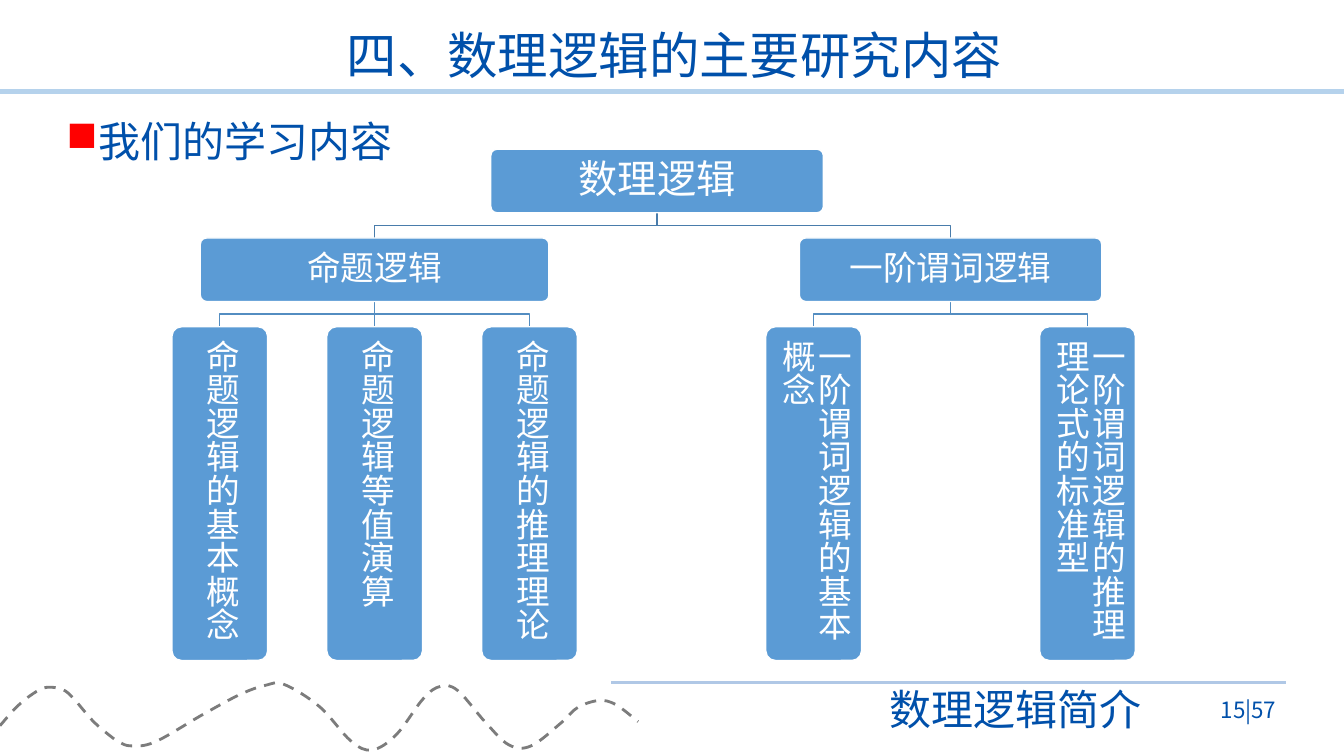
from pptx import Presentation
from pptx.util import Pt
from pptx.dml.color import RGBColor
from pptx.enum.dml import MSO_LINE
from pptx.enum.shapes import MSO_CONNECTOR, MSO_SHAPE
from pptx.enum.text import MSO_ANCHOR as ANCHOR, PP_ALIGN as ALIGN
from pptx.oxml.ns import qn
from lxml.etree import SubElement

NAVY = RGBColor(0x00, 0x50, 0xAA)
PALE_BLUE = RGBColor(0xB5, 0xD2, 0xEC)
FOOT_BLUE = RGBColor(0xB0, 0xC8, 0xE6)
BOX_BLUE = RGBColor(0x5B, 0x9B, 0xD5)
ROOT_LINK = RGBColor(0x49, 0x7C, 0xAB)
LEAF_LINK = RGBColor(0x53, 0x8D, 0xC1)
GRAY = RGBColor(0x7C, 0x7C, 0x7C)
WHITE = RGBColor(0xFF, 0xFF, 0xFF)
SANS = "Noto Sans CJK SC"
SERIF = "Cambria"


def write(s, text, size, font, color, align, anchor=ANCHOR.MIDDLE):
    """Put one formatted run into the shape and return its paragraph."""
    tf = s.text_frame
    tf.word_wrap = True
    tf.vertical_anchor = anchor
    p = tf.paragraphs[0]
    p.alignment = align
    r = p.add_run()
    r.text = text
    r.font.size = Pt(size)
    r.font.name = font
    r.font.color.rgb = color
    SubElement(r.font._element, qn("a:ea")).set("typeface", SANS)
    return p


def draw_path(points, color, width):
    """Draw an open, unfilled outline through the points."""
    corners = [(Pt(x), Pt(y)) for x, y in points]
    builder = slide.shapes.build_freeform(*corners[0])
    builder.add_line_segments(corners[1:], close=False)
    s = builder.convert_to_shape()
    s.shadow.inherit = False
    s.fill.background()
    s.line.color.rgb = color
    s.line.width = Pt(width)
    return s


prs = Presentation()
prs.slide_width, prs.slide_height = Pt(960), Pt(540)
slide = prs.slides.add_slide(prs.slide_layouts[6])

# Rules under the title and above the footer
for x1, x2, y, color, width in [(0, 960, 65.5, PALE_BLUE, 4),
                                (436.5, 918.5, 487.5, FOOT_BLUE, 1.75)]:
    rule = slide.shapes.add_connector(MSO_CONNECTOR.STRAIGHT, Pt(x1), Pt(y), Pt(x2), Pt(y))
    rule.line.color.rgb = color
    rule.line.width = Pt(width)
    SubElement(rule._element.spPr, qn("a:effectLst"))

# Dashed wave: each straight segment between knots becomes a smooth curve
KNOTS = [(0, 518.4), (12.2, 504.7), (23.8, 495.4), (33.1, 491), (44.6, 492.5),
         (52.6, 499), (66.2, 514.8), (77.8, 524.9), (85, 529.9), (93.6, 532.8),
         (110.9, 529.9), (144.7, 510.5), (171.4, 496.1), (189.4, 489.6),
         (203, 488.9), (228.2, 504.7), (250.6, 529.2), (265.7, 535.7),
         (283, 524.9), (302.4, 499), (314.6, 490.3), (326.9, 493.2),
         (347, 516.2), (363.6, 532.1), (379.4, 532.8), (401, 516.2),
         (412.6, 505.4), (427.7, 500.4), (439.9, 503.3), (455.8, 515.5)]
wave = draw_path(KNOTS, GRAY, 2)
wave.line.dash_style = MSO_LINE.DASH
top = min(y for x, y in KNOTS)
padded = [KNOTS[0]] + KNOTS + [KNOTS[-1]]
segments = list(wave._element.iter(qn("a:lnTo")))
for segment, a, b, c, d in zip(segments, padded, padded[1:], padded[2:], padded[3:]):
    segment.tag = qn("a:cubicBezTo")
    segment.remove(segment[0])
    leave = [b[i] + (c[i] - a[i]) / 6 for i in range(2)]
    arrive = [c[i] - (d[i] - b[i]) / 6 for i in range(2)]
    for x, y in (leave, arrive, c):
        pt = SubElement(segment, qn("a:pt"))
        pt.set("x", str(Pt(x)))
        pt.set("y", str(Pt(y - top)))

# Title, topic, footer and page number
title = slide.shapes.add_textbox(Pt(113), Pt(18), Pt(737.3), Pt(46.8))
write(title, "四、数理逻辑的主要研究内容", 36, SERIF, NAVY, ALIGN.CENTER).line_spacing = 0.9

topic = slide.shapes.add_textbox(Pt(40.3), Pt(79.2), Pt(878.4), Pt(43.9))
p = write(topic, "我们的学习内容", 30, SERIF, NAVY, ALIGN.JUSTIFY, ANCHOR.TOP)
p.space_before = Pt(6)
pPr = p._p.get_or_add_pPr()
pPr.set("marL", str(Pt(22.5)))
pPr.set("indent", str(Pt(-22.5)))
SubElement(SubElement(pPr, qn("a:buClr")), qn("a:srgbClr")).set("val", "FF0000")
SubElement(pPr, qn("a:buFont")).set("typeface", "Wingdings")
SubElement(pPr, qn("a:buChar")).set("char", "n")

footer = slide.shapes.add_textbox(Pt(396.7), Pt(484.6), Pt(425.5), Pt(43.9))
p = write(footer, "数理逻辑简介", 30, SERIF, NAVY, ALIGN.RIGHT, ANCHOR.TOP)
p.space_before = Pt(6)

page = slide.shapes.add_textbox(Pt(843.1), Pt(492.5), Pt(75.6), Pt(28.8))
write(page, "15|57", 16, SANS, NAVY, ALIGN.RIGHT)

# Topic tree: each branch spreads its leaves evenly about its own centre
ROOT_X, BOX_H, LEAF_W, LEAF_H = 469.4, 45.4, 68.4, 238.4
ROOT_Y, BRANCH_Y, LEAF_Y = 106.6, 170, 233.4
BRANCHES = [
    ("命题逻辑", 267.6, 249, 110.6,
     ["命题逻辑的基本概念", "命题逻辑等值演算", "命题逻辑的推理理论"]),
    ("一阶谓词逻辑", 679, 216, 195.6,
     ["一阶谓词逻辑的基本概念", "一阶谓词逻辑的推理理论式的标准型"]),
]
boxes = [("数理逻辑", ROOT_X, ROOT_Y, 237.6, BOX_H, 28)]
links = []
for name, x, width, gap, leaves in BRANCHES:
    boxes.append((name, x, BRANCH_Y, width, BOX_H, 24))
    links.append((ROOT_X, ROOT_Y, x, BRANCH_Y, ROOT_LINK))
    for i, leaf in enumerate(leaves):
        leaf_x = x + (i - (len(leaves) - 1) / 2) * gap
        boxes.append((leaf, leaf_x, LEAF_Y, LEAF_W, LEAF_H, 24))
        links.append((x, BRANCH_Y, leaf_x, LEAF_Y, LEAF_LINK))

for x1, y1, x2, y2, color in links:
    bottom = y1 + BOX_H
    middle = (bottom + y2) / 2
    draw_path([(x1, bottom), (x1, middle), (x2, middle), (x2, y2)], color, 1)

for text, x, y, width, height, size in boxes:
    s = slide.shapes.add_shape(MSO_SHAPE.ROUNDED_RECTANGLE,
                               Pt(x - width / 2), Pt(y), Pt(width), Pt(height))
    s.adjustments[0] = 0.1
    s.shadow.inherit = False
    s.fill.solid()
    s.fill.fore_color.rgb = BOX_BLUE
    s.line.color.rgb = WHITE
    s.line.width = Pt(1)
    tf = s.text_frame
    tf.margin_left = tf.margin_right = tf.margin_top = tf.margin_bottom = Pt(7.2)
    upright = height == LEAF_H
    p = write(s, text, size, SANS, WHITE, ALIGN.LEFT if upright else ALIGN.CENTER)
    p.line_spacing = 0.9
    if upright:
        tf._txBody.bodyPr.set("vert", "eaVert")

prs.save("out.pptx")
